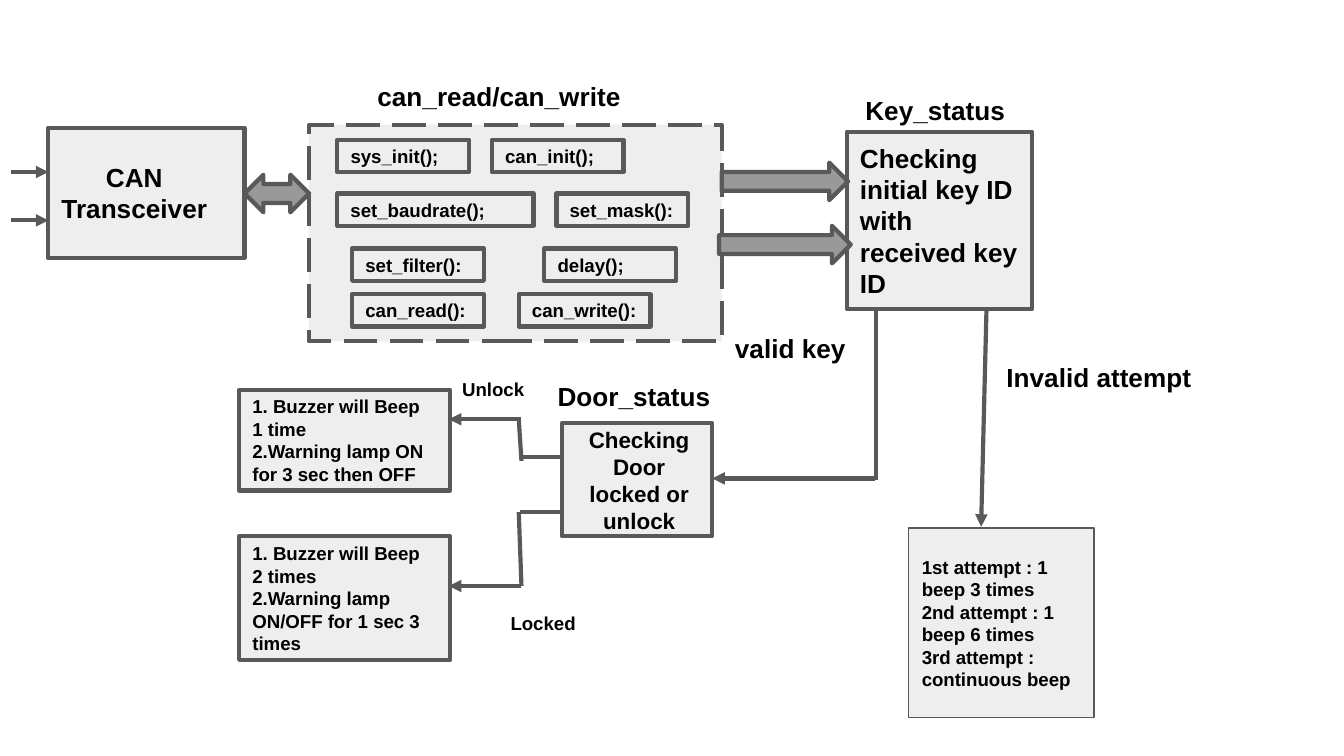
from lxml import etree
from pptx import Presentation
from pptx.dml.color import RGBColor
from pptx.enum.dml import MSO_LINE as Dash
from pptx.enum.shapes import MSO_CONNECTOR as Link, MSO_SHAPE as Form
from pptx.enum.text import MSO_ANCHOR as Anchor, PP_ALIGN as Align
from pptx.oxml.ns import qn
from pptx.util import Inches, Pt

PALE = RGBColor(0xEE, 0xEE, 0xEE)
MID = RGBColor(0x99, 0x99, 0x99)
DARK = RGBColor(0x59, 0x59, 0x59)
BLACK = RGBColor(0, 0, 0)
FONT = {"name": "Arial", "bold": True}

# Widescreen page, 16 to 9
deck = Presentation()
deck.slide_width, deck.slide_height = Inches(10), Inches(10 * 9 / 16)
slide = deck.slides.add_slide(deck.slide_layouts[6])
shapes = slide.shapes


def write(shape, text, size, anchor=Anchor.MIDDLE, align=Align.LEFT, **pads):
    frame = shape.text_frame
    frame.text = text
    style = {"word_wrap": True, "vertical_anchor": anchor}
    for side in ("left", "right", "top", "bottom"):
        style["margin_" + side] = Inches(pads.get(side, 0.1))
    for key, value in style.items():
        setattr(frame, key, value)
    for para in frame.paragraphs:
        para.alignment = align
        for run in para.runs:
            run.font.color.rgb = BLACK
            for key, value in {**FONT, "size": Pt(size)}.items():
                setattr(run.font, key, value)


def draw(at, form=Form.RECTANGLE, fill=PALE, width=2.25):
    shape = shapes.add_shape(form, *map(Inches, at))
    shape.shadow.inherit = False
    shape.fill.solid()
    shape.fill.fore_color.rgb = fill
    shape.line.color.rgb = DARK
    shape.line.width = Pt(width)
    return shape


# Transceiver and dashed driver frame
write(draw((0.36, 0.95, 1.46, 0.97)), "CAN Transceiver", 14,
      align=Align.CENTER, left=0.02, right=0.2)
draw((2.3, 0.93, 3.07, 1.61)).line.dash_style = Dash.LONG_DASH

# Driver functions, row by row: left, width, name
rows = {
    1.04: [(2.51, 0.98, "sys_init();"), (3.66, 0.98, "can_init();")],
    1.44: [(2.51, 1.46, "set_baudrate();"), (4.14, 0.98, "set_mask():")],
    1.85: [(2.62, 0.98, "set_filter():"), (4.05, 0.98, "delay();")],
    2.19: [(2.62, 0.98, "can_read():"), (3.86, 0.98, "can_write():")],
}
for top, cells in rows.items():
    for left, width, name in cells:
        write(draw((left, top, width, 0.24)), name, 10, right=0.05)

# Status checks
write(draw((6.3, 0.98, 1.38, 1.32)),
      "Checking initial key ID with received key ID", 14)
write(draw((4.18, 3.15, 1.12, 0.84)),
      "Checking Door locked or unlock", 12, align=Align.CENTER, left=0.13)

# Outcomes
outcomes = [
    ((6.76, 3.93, 1.38, 1.41), 0.75,
     "1st attempt : 1 beep 3 times\n2nd attempt : 1 beep 6 times\n"
     "3rd attempt : continuous beep"),
    ((1.78, 2.9, 1.57, 0.75), 2.25,
     "1. Buzzer will Beep\v1 time\n2.Warning lamp ON for 3 sec then OFF"),
    ((1.78, 3.99, 1.57, 0.92), 2.25,
     "1. Buzzer will Beep\v2 times\n2.Warning lamp ON/OFF for 1 sec 3 times"),
]
for at, width, text in outcomes:
    write(draw(at, width=width), text, 10)

# Block arrows
for at, form in [
    ((5.37, 1.21, 0.94, 0.28), Form.RIGHT_ARROW),
    ((5.35, 1.68, 0.98, 0.28), Form.RIGHT_ARROW),
    ((1.82, 1.3, 0.48, 0.28), Form.LEFT_RIGHT_ARROW),
]:
    draw(at, form, MID)

# Connectors: start, end, arrowhead
links = [
    ((0.08, 1.28), (0.36, 1.28), True),
    ((0.08, 1.64), (0.36, 1.64), True),
    ((6.52, 2.29), (6.52, 3.57), False),
    ((6.51, 3.56), (5.3, 3.56), True),
    ((7.34, 2.31), (7.3, 3.92), True),
    ((3.88, 3.12), (3.34, 3.12), True),
    ((3.86, 3.12), (3.88, 3.43), False),
    ((3.87, 3.4), (4.18, 3.4), False),
    ((3.87, 3.81), (4.18, 3.81), False),
    ((3.86, 3.81), (3.88, 4.36), False),
    ((3.88, 4.36), (3.34, 4.36), True),
]
for start, end, head in links:
    link = shapes.add_connector(Link.STRAIGHT, *map(Inches, start + end))
    link.line.color.rgb = DARK
    link.line.width = Pt(2.25)
    props = link.element.spPr
    if head:
        etree.SubElement(props.find(qn("a:ln")), qn("a:tailEnd"), type="triangle")
    etree.SubElement(props, qn("a:effectLst"))

# Labels
labels = [
    ((2.71, 0.5, 2.41, 0.44), "can_read/can_write", 14),
    ((6.34, 0.6, 2.21, 0.44), "Key_status", 14),
    ((4.05, 2.73, 2.21, 0.44), "Door_status", 14),
    ((5.37, 2.37, 1.78, 0.44), "valid key", 14),
    ((7.39, 2.59, 1.78, 0.44), "Invalid attempt", 14),
    ((3.34, 2.73, 0.98, 0.28), "Unlock", 10),
    ((3.7, 4.47, 0.98, 0.28), "Locked", 10),
]
for at, text, size in labels:
    write(shapes.add_textbox(*map(Inches, at)), text, size, Anchor.TOP)

deck.save("out.pptx")
